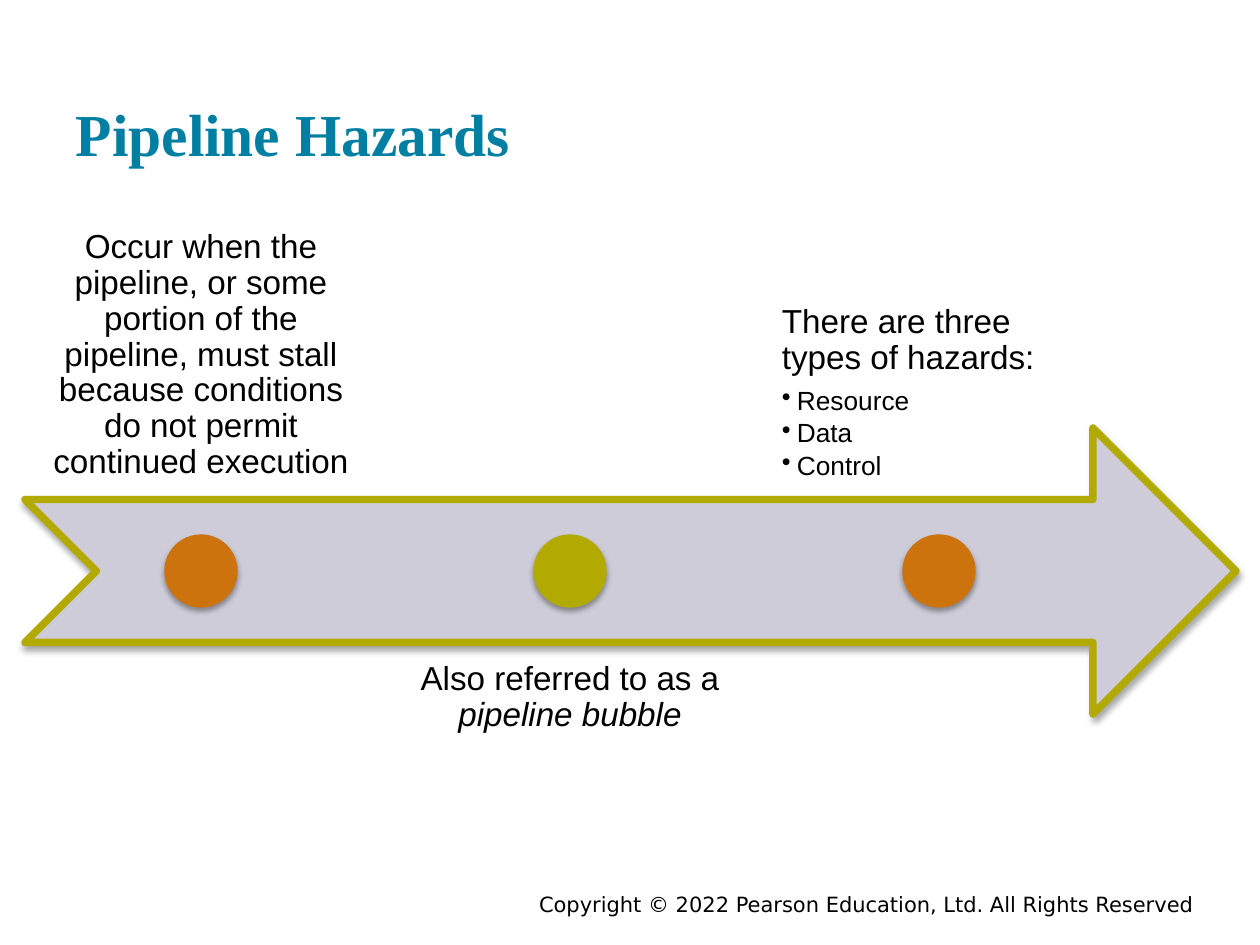
from lxml.etree import SubElement
from pptx import Presentation
from pptx.dml.color import RGBColor
from pptx.enum.shapes import MSO_SHAPE as Shape
from pptx.enum.text import MSO_ANCHOR as Anchor, PP_ALIGN as Align
from pptx.oxml.ns import qn
from pptx.util import Emu, Pt

PX = 914400 / 126
TEAL = RGBColor(0x00, 0x7F, 0xA3)
LAVENDER = RGBColor(0xCE, 0xCC, 0xD8)
OLIVE = RGBColor(0xB2, 0xAA, 0x00)
ORANGE = RGBColor(0xCC, 0x73, 0x0D)
BLACK = RGBColor(0, 0, 0)


def px(*lengths):
    return [Emu(round(length * PX)) for length in lengths]


class SlideBuilder:
    font, color, line_spacing = "Arial", BLACK, 0.9

    def __init__(self, slide):
        self.slide = slide

    def text_box(self, box, anchor=Anchor.TOP, inset=(19, 19)):
        frame = self.slide.shapes.add_textbox(*px(*box)).text_frame
        frame.word_wrap = True
        frame.vertical_anchor = anchor
        frame.margin_left = frame.margin_right = px(inset[0])[0]
        frame.margin_top = frame.margin_bottom = px(inset[1])[0]
        return frame

    def paragraph(self, frame, runs, size, align=Align.LEFT, after=0,
                  spacing=None, bullet=False, font=None, color=None, bold=False):
        """Fill the empty first paragraph or add one; runs are (text, italic)."""
        first = frame.paragraphs[0]
        para = first if not first.runs else frame.add_paragraph()
        para.alignment = align
        para.line_spacing = spacing
        para.space_after = Pt(after)
        if bullet:
            props = para._p.get_or_add_pPr()
            indent = px(15)[0]
            props.set("marL", str(indent))
            props.set("indent", str(-indent))
            SubElement(props, qn("a:buChar"), char="•")
        for text, italic in runs:
            run = para.add_run()
            run.text = text
            run.font.name = font or self.font
            run.font.size = Pt(size)
            run.font.bold = bold
            run.font.italic = italic
            run.font.color.rgb = color or self.color

    def statement(self, frame, runs, align=Align.CENTER):
        self.paragraph(frame, runs, 19, align, 6.65, self.line_spacing)

    def bullet(self, frame, text):
        self.paragraph(frame, [(text, False)], 15, after=2.25,
                       spacing=self.line_spacing, bullet=True)

    def shadowed_shape(self, kind, box, fill, line, width):
        shape = self.slide.shapes.add_shape(kind, *px(*box))
        shape.fill.solid()
        shape.fill.fore_color.rgb = fill
        shape.line.color.rgb = line
        shape.line.width = Pt(width)
        shape.shadow.inherit = False
        effects = shape._element.spPr.find(qn("a:effectLst"))
        shadow = SubElement(effects, qn("a:outerShdw"), blurRad=str(Pt(3.1)),
                            dist=str(Pt(1.8)), dir="5400000", rotWithShape="0")
        black = SubElement(shadow, qn("a:srgbClr"), val="000000")
        SubElement(black, qn("a:alpha"), val="35000")


def main():
    deck = Presentation()
    deck.slide_width, deck.slide_height = px(1260, 945)
    builder = SlideBuilder(deck.slides.add_slide(deck.slide_layouts[6]))

    footer = builder.text_box((220, 886, 987, 28), inset=(13, 6))
    builder.paragraph(
        footer,
        [("Copyright © 2022 Pearson Education, Ltd. All Rights Reserved", False)],
        12, Align.RIGHT, font="DejaVu Sans")
    title = builder.text_box((63, 30, 1134, 151), Anchor.BOTTOM, (13, 13))
    builder.paragraph(title, [("Pipeline Hazards", False)], 34,
                      font="Times New Roman", color=TEAL, bold=True)

    left, top, height = 25, 428, 286
    builder.shadowed_shape(Shape.NOTCHED_RIGHT_ARROW, (left, top, 1211, height),
                           LAVENDER, OLIVE, 4.25)

    above, below = (214, Anchor.BOTTOM), (643, Anchor.TOP)
    step, width, dot = 369, 352, 72
    columns = []
    for index, ((text_top, anchor), color) in enumerate(
            [(above, ORANGE), (below, OLIVE), (above, ORANGE)]):
        x = left + index * step
        columns.append(builder.text_box((x, text_top, width, height), anchor))
        builder.shadowed_shape(
            Shape.OVAL,
            (x + (width - dot) // 2, top + (height - dot) // 2, dot, dot),
            color, color, 0.75)

    definition, synonym, types = columns
    builder.statement(definition, [
        ("Occur when the pipeline, or some portion of the pipeline, must stall "
         "because conditions do not permit continued execution", False)])
    builder.statement(synonym, [("Also referred to as a ", False),
                                ("pipeline bubble", True)])
    builder.statement(types, [("There are three types of hazards:", False)],
                      Align.LEFT)
    for hazard in ("Resource", "Data", "Control"):
        builder.bullet(types, hazard)

    deck.save("out.pptx")


if __name__ == "__main__":
    main()
